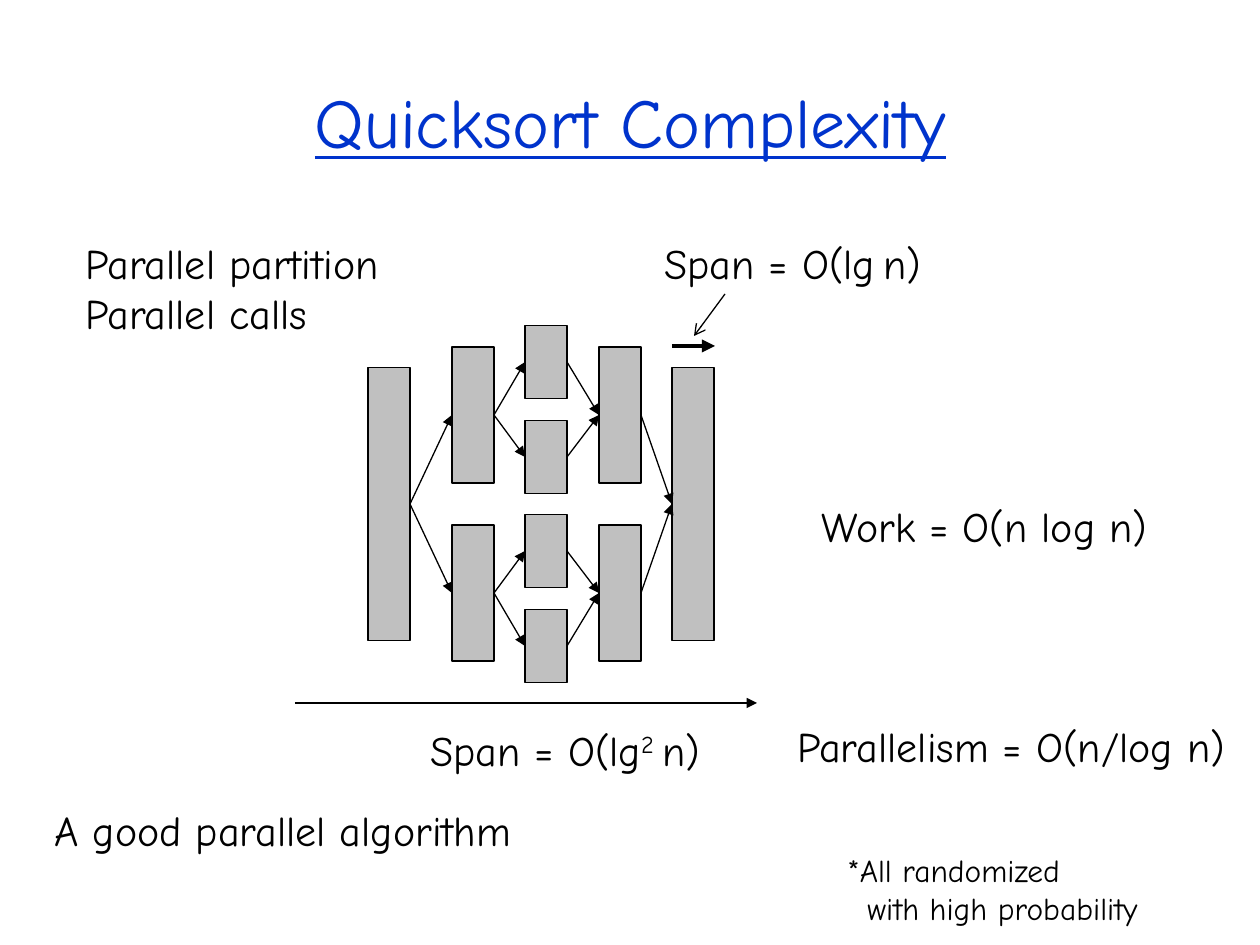
from lxml.etree import SubElement
from pptx import Presentation
from pptx.dml.color import RGBColor
from pptx.enum.shapes import MSO_CONNECTOR, MSO_SHAPE
from pptx.enum.text import MSO_ANCHOR, MSO_AUTO_SIZE, PP_ALIGN
from pptx.oxml.ns import qn
from pptx.util import Emu, Pt

FONT = "Comic Neue"
BLACK, GRAY, BLUE = "000000", "C0C0C0", "0033CC"
BAR_WIDTH = 42
COLUMN_LEFTS = [368, 452, 525, 599, 672]
COLUMN_HEIGHTS = [273, 136, 73, 136, 273]
COLUMN_CENTERS = [[504], [415, 593], [362, 457, 551, 646], [415, 593], [504]]


def px(length):
    """Turn pixels at 126 to the inch into EMU."""
    return Emu(round(length * 914400 / 126))


def color(hex_code):
    """Turn a hex string into a colour."""
    return RGBColor.from_string(hex_code)


def place(shape, left, top, width, height):
    """Move and size a shape."""
    shape.left, shape.top = px(left), px(top)
    shape.width, shape.height = px(width), px(height)


def format_paragraph(paragraph, size, hex_code=BLACK, align=PP_ALIGN.LEFT):
    """Give a paragraph its font, colour, alignment and tight spacing."""
    paragraph.alignment = align
    paragraph.line_spacing = 1.0
    paragraph.space_before = Pt(0)
    paragraph.font.name = FONT
    paragraph.font.size = Pt(size)
    paragraph.font.color.rgb = color(hex_code)


def fill_title(title):
    """Write the underlined slide title."""
    place(title, 95, 63, 1071, 116)
    title.text_frame.vertical_anchor = MSO_ANCHOR.MIDDLE
    title.text_frame.text = "Quicksort Complexity"
    paragraph = title.text_frame.paragraphs[0]
    format_paragraph(paragraph, 40, BLUE, PP_ALIGN.CENTER)
    paragraph.font.underline = True


def fill_body(body, lines):
    """Write the list without bullets."""
    place(body, 73, 231, 1071, 136)
    frame = body.text_frame
    frame.auto_size = MSO_AUTO_SIZE.NONE
    frame.vertical_anchor = MSO_ANCHOR.TOP
    frame.text = "\n".join(lines)
    for paragraph in frame.paragraphs:
        properties = paragraph._p.get_or_add_pPr()
        properties.set("marL", str(px(48)))
        properties.set("indent", str(-px(48)))
        SubElement(properties, qn("a:buNone"))
        format_paragraph(paragraph, 24)


def add_label(slide, box, runs, size=24):
    """Add a one-line label; every second run is a superscript."""
    shape = slide.shapes.add_textbox(*map(px, box))
    frame = shape.text_frame
    frame.word_wrap = False
    paragraph = frame.paragraphs[0]
    for index, text in enumerate(runs):
        run = paragraph.add_run()
        run.text = text
        if index % 2:
            run.font._element.set("baseline", "30000")
    format_paragraph(paragraph, size)
    return frame


def add_footnote(slide):
    """Add the two-line footnote with its second line indented."""
    frame = add_label(slide, (835, 845, 352, 89), ["*All randomized"], 18)
    paragraph = frame.add_paragraph()
    paragraph.text = "with high probability"
    paragraph._p.get_or_add_pPr().set("marL", str(px(20)))
    format_paragraph(paragraph, 18)


def add_bar(slide, left, center, height):
    """Add a gray task bar centred on a height."""
    box = (left, center - height / 2, BAR_WIDTH, height)
    bar = slide.shapes.add_shape(MSO_SHAPE.RECTANGLE, *map(px, box))
    bar.shadow.inherit = False
    bar.fill.solid()
    bar.fill.fore_color.rgb = color(GRAY)
    bar.line.color.rgb = color(BLACK)
    bar.line.width = Pt(0.75)
    return bar


def add_arrow(slide, start=(0, 0), end=(0, 0), width=0.75, head="triangle"):
    """Add a straight black arrow."""
    arrow = slide.shapes.add_connector(
        MSO_CONNECTOR.STRAIGHT, *map(px, (*start, *end)))
    arrow.line.color.rgb = color(BLACK)
    arrow.line.width = Pt(width)
    SubElement(arrow.line._get_or_add_ln(), qn("a:tailEnd"), type=head)
    SubElement(arrow._element.spPr, qn("a:effectLst"))
    return arrow


def join_bars(slide, source, target):
    """Add an arrow from a bar's right side to another's left side."""
    arrow = add_arrow(slide)
    arrow.begin_connect(source, 3)
    arrow.end_connect(target, 1)


def add_task_graph(slide):
    """Draw the bars that split in two and merge again."""
    columns = [
        [add_bar(slide, left, center, height) for center in centers]
        for left, height, centers
        in zip(COLUMN_LEFTS, COLUMN_HEIGHTS, COLUMN_CENTERS)
    ]
    for sources, targets in zip(columns, columns[1:]):
        count = max(len(sources), len(targets))
        for index in range(count):
            join_bars(slide, sources[index * len(sources) // count],
                      targets[index * len(targets) // count])


def main():
    """Build the slide and save it."""
    presentation = Presentation()
    presentation.slide_width, presentation.slide_height = px(1260), px(945)
    slide = presentation.slides.add_slide(presentation.slide_layouts[1])
    fill_title(slide.shapes.title)
    fill_body(slide.placeholders[1], ["Parallel partition", "Parallel calls"])
    add_task_graph(slide)
    add_arrow(slide, (295, 703), (757, 703))
    add_arrow(slide, (672, 346), (715, 346), width=2.5)
    add_arrow(slide, (725, 294), (694, 336), head="arrow")
    add_label(slide, (418, 718, 316, 63), ["Span = O(lg", "2 ", "n)"])
    add_label(slide, (652, 231, 304, 64), ["Span = O(lg", " ", "n)"])
    add_label(slide, (809, 494, 369, 63), ["Work = O(n log n)"])
    add_label(slide, (785, 714, 475, 64), ["Parallelism = O(n/log n)"])
    add_label(slide, (42, 798, 490, 63), ["A good parallel algorithm"])
    add_footnote(slide)
    presentation.save("out.pptx")


if __name__ == "__main__":
    main()
